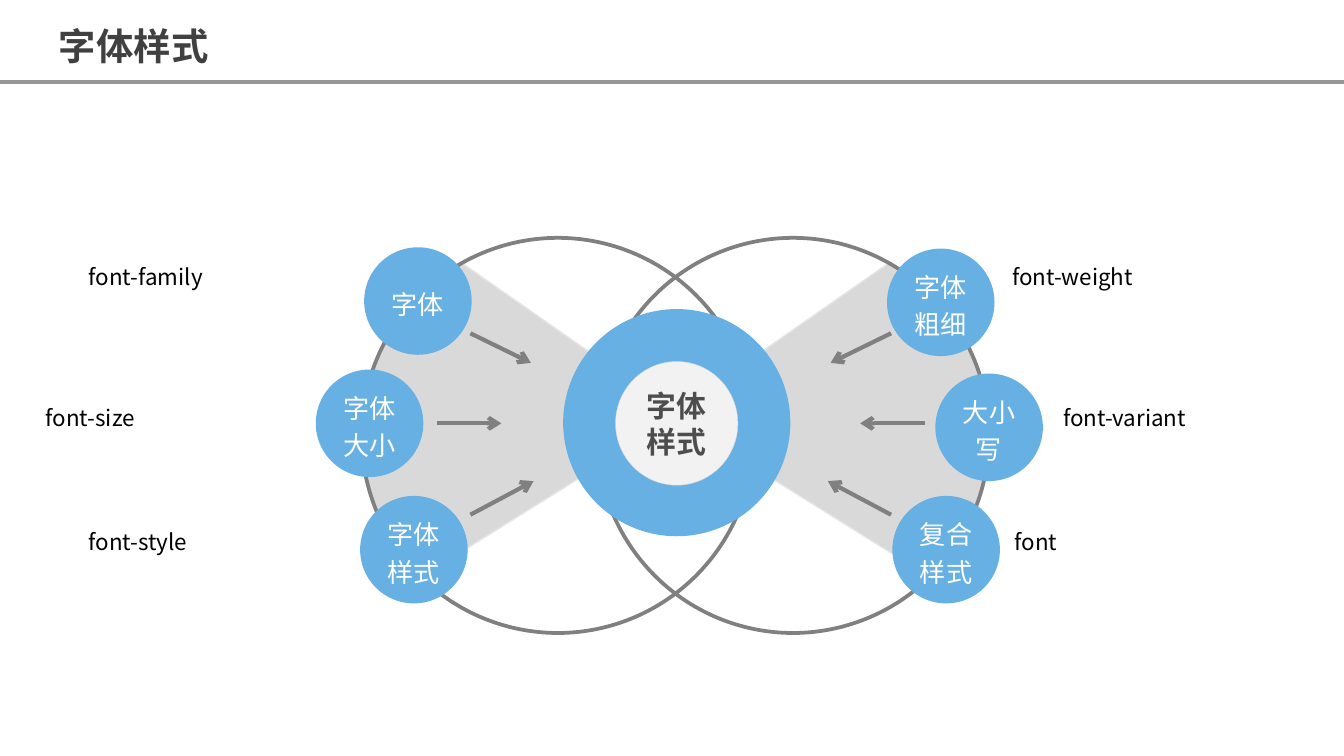
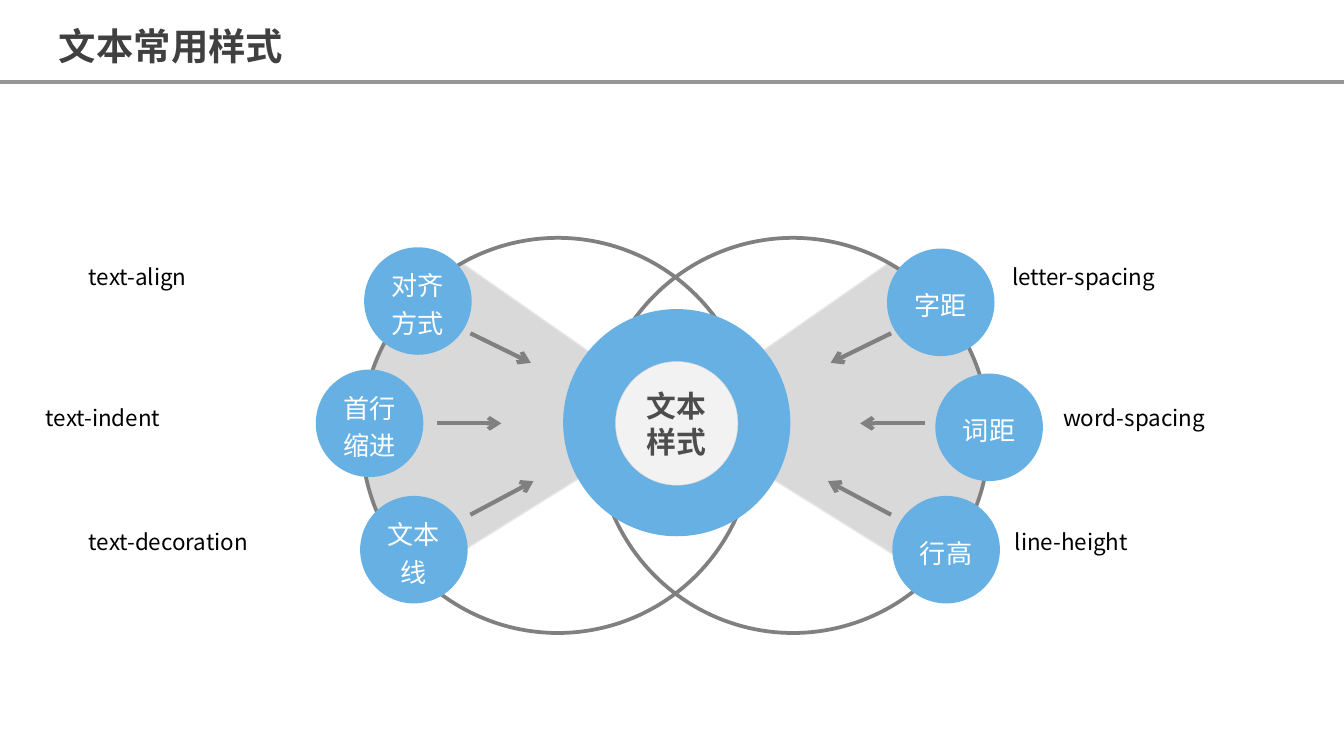
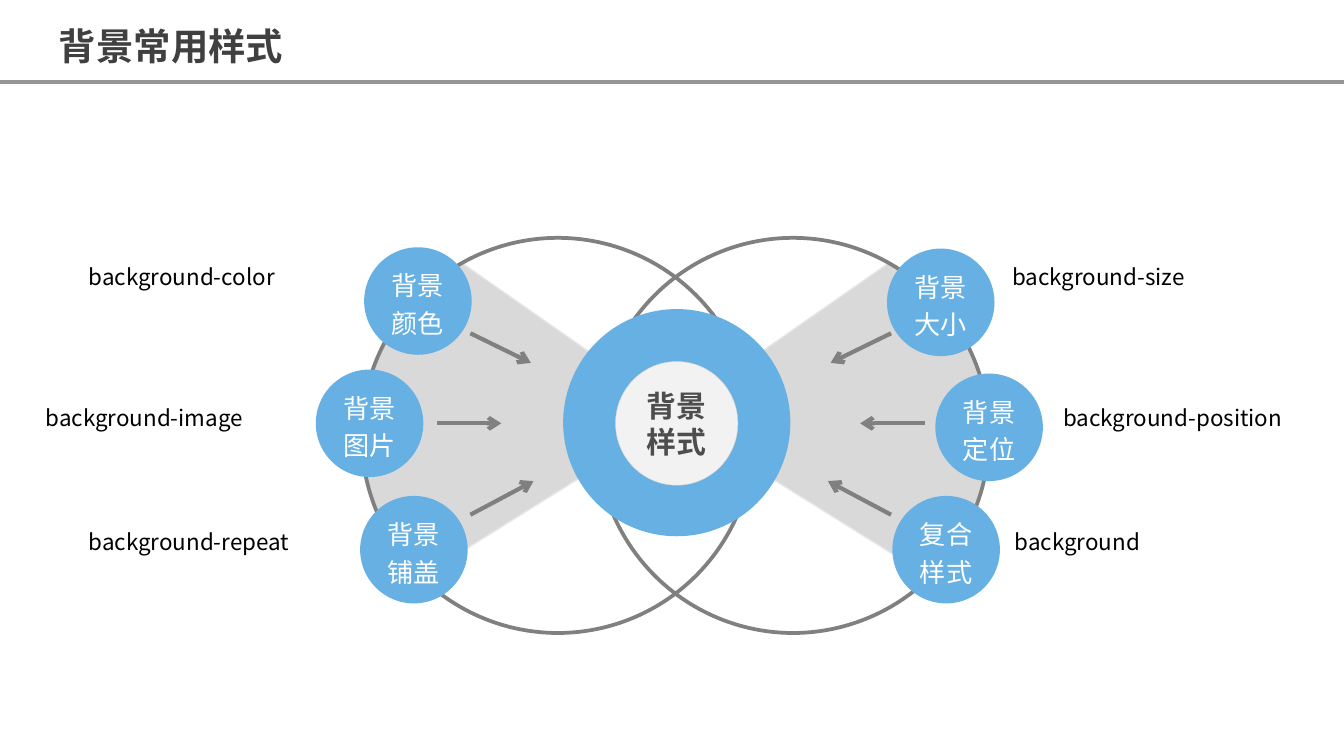
from lxml import etree
from pptx import Presentation
from pptx import util as u
from pptx.dml.color import RGBColor
from pptx.enum import shapes, text
from pptx.oxml.ns import qn

SLIDES = [
    ("字体样式", "字体样式", [
        ("字体", "font-family"), ("字体大小", "font-size"), ("字体样式", "font-style"),
        ("字体粗细", "font-weight"), ("大小写", "font-variant"), ("复合样式", "font")]),
    ("文本常用样式", "文本样式", [
        ("对齐方式", "text-align"), ("首行缩进", "text-indent"), ("文本线", "text-decoration"),
        ("字距", "letter-spacing"), ("词距", "word-spacing"), ("行高", "line-height")]),
    ("背景常用样式", "背景样式", [
        ("背景颜色", "background-color"), ("背景图片", "background-image"),
        ("背景铺盖", "background-repeat"), ("背景大小", "background-size"),
        ("背景定位", "background-position"), ("复合样式", "background")]),
]

W = 10
H = W * 9 / 16
FAN_MIRROR, ARROW_MIRROR = 10.05, 10.13
RULE_Y = 0.61
NODE = 0.8
LABEL_W, LABEL_H = 1.89, 0.31
LABEL_ROWS = (1.86, 2.91, 3.83)
NODES = [(2.71, 1.84), (2.35, 2.75), (2.68, 3.69), (6.6, 1.85), (6.96, 2.78), (6.64, 3.69)]
LABEL_X = [0.59, 0.27, 0.59, 7.46, 7.84, 7.48]
ARROWS = [((3.5, 2.48), (3.95, 2.7)), ((3.25, 3.15), (3.73, 3.15)), ((3.5, 3.83), (3.97, 3.58))]
ORBITS = [(2.69, 1.77, 2.92, 2.94), (4.44, 1.77, 2.92, 2.94)]
HUB, CORE = (4.19, 2.3, 1.69, 1.69), (4.58, 2.69, 0.91, 0.92)
FAN_CORNERS = [(3.44, 1.96), (5.06, 3.09), (3.14, 4.29)]
FAN_CURVES = [
    [(3.14, 4.29), (2.67, 3.72), (2.72, 3.51), (2.69, 3.22)],
    [(2.69, 3.22), (2.71, 2.97), (2.76, 2.71), (2.9, 2.49)],
    [(2.9, 2.49), (3.13, 2.18), (3.08, 2.2), (3.44, 1.96)],
]

CJK = "Noto Sans CJK SC"
SMALL_INSETS = (0.07, 0.04)
THEME = {
    "rule": ("969696", 1.75), "orbit": ("808080", 2), "arrow": ("808080", 2.25),
    "fan": "D9D9D9", "fan_edge": ("E6E6E6", 0.75),
    "blue": "67B0E3", "core": "F2F2F2", "core_edge": ("D7D7D7", 0.25),
    "title": dict(size=20, name=CJK, color="404040", bold=True, spacing=1.2, insets=(0.1, 0.05)),
    "hub": dict(size=16, name="Roboto Condensed", color="4D4D4D", bold=True, spacing=1,
                insets=(0.05, 0.05), align=text.PP_ALIGN.CENTER),
    "node": dict(size=14, name="Arial", color="FFFFFF", bold=False, spacing=1.2,
                 insets=SMALL_INSETS, align=text.PP_ALIGN.CENTER),
    "label": dict(size=12, name=CJK, color="000000", bold=False, spacing=1.3,
                  insets=SMALL_INSETS),
}


def inches(*values):
    return [u.Inches(v) for v in values]


def mirrored(points, total):
    return [(total - x, y) for x, y in points]


def write(sp, words, style):
    tf = sp.text_frame
    dx, dy = inches(*style["insets"])
    for key, value in dict(margin_left=dx, margin_right=dx, margin_top=dy,
                           margin_bottom=dy, word_wrap=True).items():
        setattr(tf, key, value)
    p = tf.paragraphs[0]
    p.line_spacing = style["spacing"]
    p.alignment = style.get("align")
    r = p.add_run()
    r.text = words
    for key, value in dict(size=u.Pt(style["size"]), name=style["name"],
                           bold=style["bold"]).items():
        setattr(r.font, key, value)
    r.font.color.rgb = RGBColor.from_string(style["color"])
    etree.SubElement(r.font._element, qn("a:ea")).set("typeface", CJK)


def textbox(s, box, words, style):
    sp = s.shapes.add_textbox(*inches(*box))
    write(sp, words, style)
    sp.text_frame.auto_size = text.MSO_AUTO_SIZE.SHAPE_TO_FIT_TEXT


def stroke(line, style):
    color, width = style
    line.color.rgb = RGBColor.from_string(color)
    line.width = u.Pt(width)


def paint(sp, fill=None, edge=None):
    sp.shadow.inherit = False
    if fill:
        sp.fill.solid()
        sp.fill.fore_color.rgb = RGBColor.from_string(fill)
    else:
        sp.fill.background()
    if edge:
        stroke(sp.line, edge)
    else:
        sp.line.fill.background()


def ellipse(parent, box, fill=None, edge=None):
    sp = parent.shapes.add_shape(shapes.MSO_SHAPE.OVAL, *inches(*box))
    paint(sp, fill, edge)
    return sp


def connect(s, start, end, style, arrow=False):
    sp = s.shapes.add_connector(shapes.MSO_CONNECTOR.STRAIGHT, *inches(*start, *end))
    stroke(sp.line, style)
    if arrow:
        etree.SubElement(sp.line._get_or_add_ln(), qn("a:tailEnd")).set("type", "arrow")
    etree.SubElement(sp.element.spPr, qn("a:effectLst"))
    return sp


def bezier(points, steps=10):
    for i in range(1, steps + 1):
        t = i / steps
        weights = ((1 - t) ** 3, 3 * t * (1 - t) ** 2, 3 * t * t * (1 - t), t ** 3)
        yield tuple(sum(w * c for w, c in zip(weights, axis)) for axis in zip(*points))


def fan(s, points):
    start, *rest = [inches(*point) for point in points]
    builder = s.shapes.build_freeform(*start)
    builder.add_line_segments(rest, close=True)
    paint(builder.convert_to_shape(), THEME["fan"], THEME["fan_edge"])


def diagram(s, title, hub, items):
    outline = FAN_CORNERS + [point for curve in FAN_CURVES for point in bezier(curve)]
    for points in (mirrored(outline, FAN_MIRROR), outline):
        fan(s, points)
    for orbit in ORBITS:
        ellipse(s, orbit, edge=THEME["orbit"])
    for ends in ARROWS + [mirrored(ends, ARROW_MIRROR) for ends in ARROWS]:
        connect(s, *ends, THEME["arrow"], arrow=True)
    group = s.shapes.add_group_shape()
    ellipse(group, HUB, THEME["blue"])
    write(ellipse(group, CORE, THEME["core"], THEME["core_edge"]), hub, THEME["hub"])
    for (name, _), (x, y) in zip(items, NODES):
        write(ellipse(s, (x, y, NODE, NODE), THEME["blue"]), name, THEME["node"])
    for (_, css), x, y in zip(items, LABEL_X, LABEL_ROWS * 2):
        textbox(s, (x, y, LABEL_W, LABEL_H), css, THEME["label"])
    textbox(s, (0.34, 0.06, 2.61, 0.47), title, THEME["title"])


def main():
    prs = Presentation()
    prs.slide_width, prs.slide_height = inches(W, H)
    blank = prs.slide_layouts[6]
    for i, content in enumerate(SLIDES):
        s = prs.slides.add_slide(blank)
        if i == 0:
            rule = connect(s, (0, RULE_Y), (W, RULE_Y), THEME["rule"])
            blank.shapes.element.append(rule.element)
        diagram(s, *content)
    prs.save("out.pptx")


if __name__ == "__main__":
    main()
